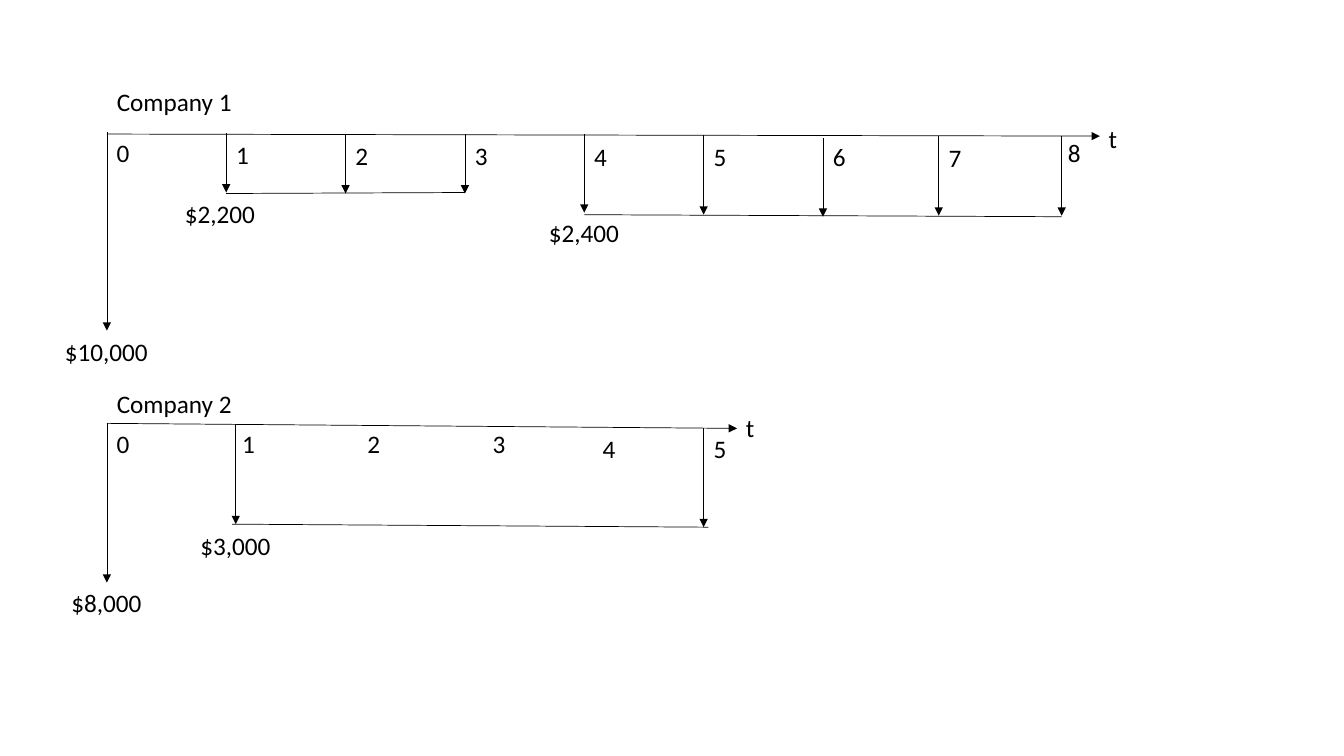
import pptx
import pptx.util
import pptx.dml.color
import pptx.enum.shapes
import pptx.enum.text
from lxml import etree

# Content: x is counted in years, y in inches
FIRMS = [
    dict(
        name=("Company 1", 0.81),
        axis=(0, 1.33, 8.32, 1.35),
        end=("t", 8.31, 1.17),
        years=[(0, 1.31), (1, 1.33), (2, 1.34), (3, 1.34), (4, 1.35),
               (5, 1.35), (6, 1.35), (6.97, 1.36), (7.97, 1.31)],
        flows=[(0, 1.31, 3.28), (1, 1.32, 1.91), (2, 1.33, 1.92),
               (3, 1.33, 1.92), (4, 1.33, 2.11), (5, 1.34, 2.13),
               (6, 1.37, 2.15), (6.97, 1.35, 2.14), (8, 1.35, 2.14)],
        spans=[(1, 1.92, 3, 1.91), (4, 2.13, 8, 2.15)],
        costs=[("$10,000", 0, 3.29, 1.03), ("$2,200", 0.95, 1.92, 0.9),
               ("$2,400", 4, 2.11, 0.9)],
    ),
    dict(
        name=("Company 2", 3.8),
        axis=(0, 4.2, 5.28, 4.25),
        end=("t", 5.27, 4.04),
        years=[(0, 4.2), (1.05, 4.2), (2.1, 4.2), (3.15, 4.2),
               (4.07, 4.25), (5, 4.25)],
        flows=[(0, 4.2, 5.78), (1.08, 4.21, 5.2), (5, 4.25, 5.23)],
        spans=[(1.05, 5.2, 5.04, 5.23)],
        costs=[("$8,000", 0, 5.78, 0.9), ("$3,000", 1.08, 5.21, 0.9)],
    ),
]
LEFT, RIGHT, LAST = 1.06, 10.53, 8
STEP = (RIGHT - LEFT) / LAST
INK = "000000"

deck = pptx.Presentation()
deck.slide_width = pptx.util.Inches(13.33)
deck.slide_height = pptx.util.Inches(7.5)
page = deck.slides.add_slide(deck.slide_layouts[6])


# Helpers
def color(code):
    return pptx.dml.color.RGBColor.from_string(code)


def place(year):
    return LEFT + year * STEP


def text(words, left, top, wide, high=0.4, size=18, font="Calibri", ink=INK):
    box = page.shapes.add_textbox(
        *(pptx.util.Inches(n) for n in (left, top, wide, high)))
    frame = box.text_frame
    frame.word_wrap = False
    frame.auto_size = pptx.enum.text.MSO_AUTO_SIZE.SHAPE_TO_FIT_TEXT
    run = frame.paragraphs[0].add_run()
    run.text = words
    run.font.size = pptx.util.Pt(size)
    run.font.name = font
    run.font.color.rgb = color(ink)


def line(start, top, stop, low, arrow=True):
    ends = (place(start), top, place(stop), low)
    rule = page.shapes.add_connector(
        pptx.enum.shapes.MSO_CONNECTOR.STRAIGHT,
        *(pptx.util.Inches(n) for n in ends))
    rule.line.width = pptx.util.Pt(0.5)
    rule.line.color.rgb = color(INK)
    if arrow:
        tip = etree.SubElement(rule.line._get_or_add_ln(),
                               pptx.oxml.ns.qn("a:tailEnd"))
        tip.set("type", "triangle")
    etree.SubElement(rule._element.spPr, pptx.oxml.ns.qn("a:effectLst"))


# Cash flow diagrams
for firm in FIRMS:
    name, top = firm["name"]
    text(name, LEFT, top, 1.35)

    # Time axis and year labels
    line(*firm["axis"])
    end, year, top = firm["end"]
    text(end, place(year), top, 0.29)
    for count, (year, top) in enumerate(firm["years"]):
        text(str(count), place(year), top, 0.33)

    # Payments, the lines that join them, and their amounts
    for year, top, low in firm["flows"]:
        line(year, top, year, low)
    for span in firm["spans"]:
        line(*span, arrow=False)
    for cost, year, top, wide in firm["costs"]:
        text(cost, place(year) - wide / 2, top, wide)

deck.save("out.pptx")
